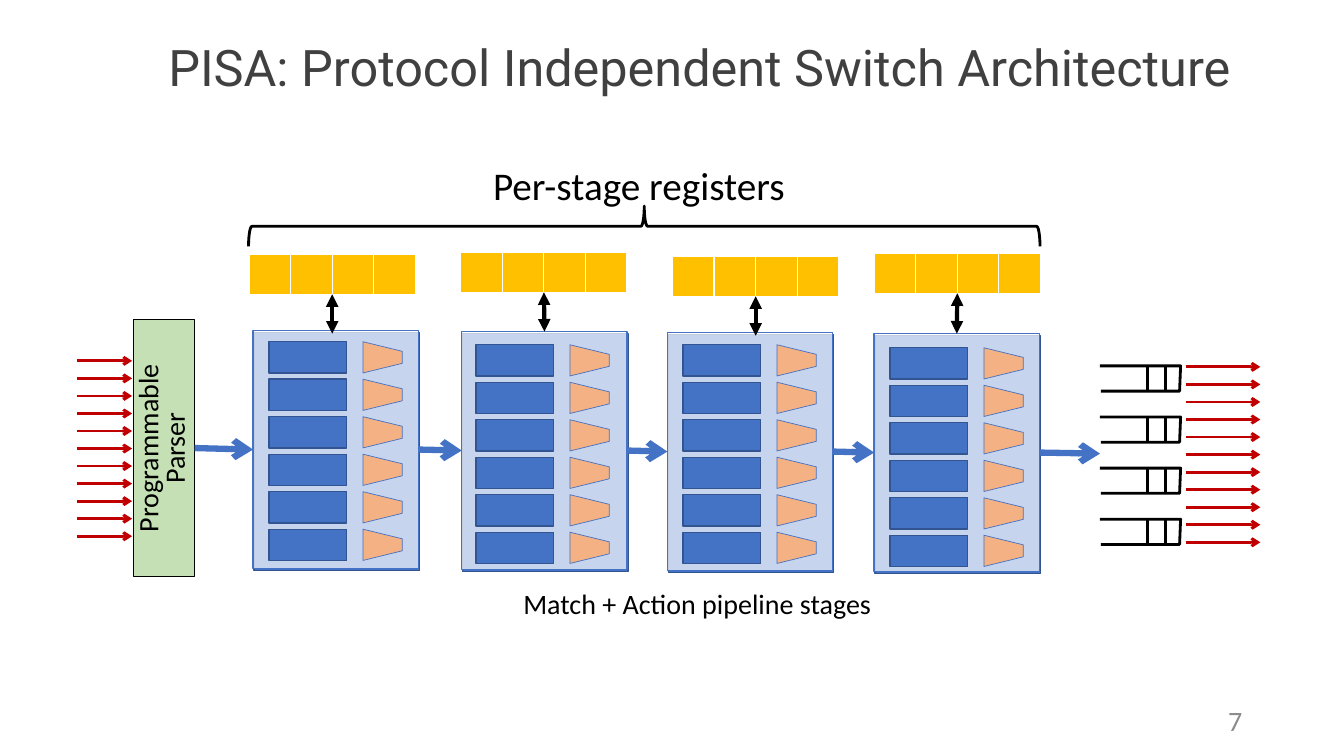
from lxml import etree
from pptx import Presentation
from pptx import util as u
from pptx.dml.color import RGBColor
from pptx.enum import shapes, text
from pptx.oxml import ns

BLUE, NAVY, ORANGE, RED, BLACK, WHITE = "4472C4", "325491", "F4B183", "C00000", "000000", "FFFFFF"
SHAPE, ALIGN = shapes.MSO_SHAPE, text.PP_ALIGN


def rgb(value):
    return RGBColor.from_string(value)


def sub(parent, tag, **attrs):
    return etree.SubElement(parent, ns.qn(tag), **attrs)


class Deck:
    """Hold the slide and its style, and draw each kind of element on it."""

    def __init__(self, width, height):
        self.prs = Presentation()
        self.prs.slide_width, self.prs.slide_height = u.Inches(width), u.Inches(height)
        self.s = self.prs.slides.add_slide(self.prs.slide_layouts[5])
        self.font = "Calibri"

    def set_text(self, sp, words, size, color=BLACK, align=ALIGN.LEFT, font=None,
                 spacing=None, anchor=text.MSO_ANCHOR.TOP, insets=(0.12, 0.06)):
        tf = sp.text_frame
        tf.text = words
        tf.word_wrap = True
        tf.vertical_anchor = anchor
        tf.margin_left = tf.margin_right = u.Inches(insets[0])
        tf.margin_top = tf.margin_bottom = u.Inches(insets[1])
        for p in tf.paragraphs:
            p.alignment = align
            p.line_spacing = spacing
            for r in p.runs:
                r.font.name, r.font.size = font or self.font, u.Pt(size)
                r.font.color.rgb = rgb(color)

    def title(self, words, box, **style):
        sp = self.s.shapes.title
        sp.left, sp.top, sp.width, sp.height = map(u.Inches, box)
        self.set_text(sp, words, **style)

    def label(self, words, box, size, **style):
        self.set_text(self.s.shapes.add_textbox(*map(u.Inches, box)), words, size, **style)

    def outline(self, sp, fill, line, width):
        sp.shadow.inherit = False
        if fill:
            sp.fill.solid()
            sp.fill.fore_color.rgb = rgb(fill)
        else:
            sp.fill.background()
        sp.line.color.rgb = rgb(line)
        sp.line.width = u.Pt(width)
        return sp

    def shape(self, kind, box, fill, line, width=1, rotation=0, alpha=None):
        sp = self.s.shapes.add_shape(kind, *map(u.Inches, box))
        sp.rotation = rotation
        self.outline(sp, fill, line, width)
        if alpha:
            color = sp._element.spPr.find(ns.qn("a:solidFill"))[0]
            sub(color, "a:alpha", val=str(alpha * 1000))
        return sp

    def freeform(self, points, line, width):
        points = [(u.Inches(x), u.Inches(y)) for x, y in points]
        builder = self.s.shapes.build_freeform(*points[0])
        builder.add_line_segments(points[1:], close=False)
        return self.outline(builder.convert_to_shape(), None, line, width)

    def line(self, start, end, color, width, head=None, tail=None, begin=None, finish=None):
        points = map(u.Inches, (*start, *end))
        sp = self.s.shapes.add_connector(shapes.MSO_CONNECTOR.STRAIGHT, *points)
        if begin:
            sp.begin_connect(*begin)
        if finish:
            sp.end_connect(*finish)
        sp.line.color.rgb = rgb(color)
        sp.line.width = u.Pt(width)
        ln = sp._element.spPr.find(ns.qn("a:ln"))
        for tag, kind in (("a:headEnd", head), ("a:tailEnd", tail)):
            if kind:
                sub(ln, tag, type=kind)
        sub(sp._element.spPr, "a:effectLst")

    def cells(self, left, top, count, side, fill):
        frame = self.s.shapes.add_table(1, count, *map(u.Inches, (left, top, count * side, side)))
        for cell in frame.table.iter_cells():
            cell.margin_top = cell.margin_bottom = 0
            tc_pr = cell._tc.get_or_add_tcPr()
            for edge, width in (("L", 1), ("R", 1), ("T", 1), ("B", 3)):
                ln = sub(tc_pr, f"a:ln{edge}", w=str(u.Pt(width)))
                sub(sub(ln, "a:solidFill"), "a:srgbClr", val=WHITE)
            cell.fill.solid()
            cell.fill.fore_color.rgb = rgb(fill)

    def stage(self, left, top, match_left, match_top):
        w, h = 1.64, 2.36
        self.shape(SHAPE.RECTANGLE, (left + 0.01, top + 0.02, w, h), BLUE, NAVY)
        front = self.shape(SHAPE.RECTANGLE, (left, top, w, h), WHITE, BLUE, alpha=70)
        for row in range(6):
            y = match_top + 0.372 * row
            self.shape(SHAPE.RECTANGLE, (match_left, y, 0.77, 0.31), BLUE, NAVY)
            action = self.shape(SHAPE.TRAPEZOID, (match_left + 0.97, y - 0.04, 0.31, 0.39),
                                ORANGE, BLUE, 0.5, rotation=90)
            action.adjustments[0] = 0.308
        return front

    def register(self, left, top, stage):
        side, count = 0.4125, 4
        self.cells(left, top, count, side, "FFC000")
        x = left + count * side / 2
        aligned = abs(x - (stage.left + stage.width / 2) / u.Inches(1)) < 0.02
        self.line((x, top + 0.4), (x, top + 0.79), BLACK, 3, "triangle", "triangle",
                  finish=(stage, 0) if aligned else None)

    def queue(self, top):
        left, right, bottom = 10.91, 11.71, top + 0.25
        self.freeform([(left, top), (right, top), (right - 0.01, bottom), (left + 0.01, bottom)],
                      BLACK, 2)
        for x in (11.38, 11.56):
            self.line((x, top), (x, bottom), BLACK, 2)

    def ports(self, left, right, top):
        for i in range(11):
            y = top + 0.174 * i
            self.line((left, y), (right, y), RED, 2, tail="arrow")


def main():
    d = Deck(13.33, 7.5)
    middle = text.MSO_ANCHOR.MIDDLE
    d.title("PISA: Protocol Independent Switch Architecture", (0.92, -0.03, 12.04, 1.45),
            size=36, color="404040", align=ALIGN.CENTER, font="Roboto", spacing=0.9,
            anchor=middle, insets=(0.1, 0.05))
    d.label("7", (9.42, 6.95, 3, 0.4), 20, color="8C8C8C", align=ALIGN.RIGHT,
            anchor=middle, insets=(0.1, 0.05))

    parser = d.shape(SHAPE.RECTANGLE, (1.32, 3.17, 0.61, 2.55), "C5E0B4", BLACK, 0.5)
    d.set_text(parser, "Programmable\nParser", 20, align=ALIGN.CENTER, spacing=u.Pt(19),
               anchor=middle, insets=(0.09, 0.17))
    parser.text_frame._txBody.bodyPr.set("vert", "vert270")
    d.ports(0.76, 1.31, 3.58)

    stage_lefts = (2.51, 4.58, 6.62, 8.67)
    match_tops = (3.39, 3.42, 3.42, 3.45)
    registers = ((2.47, 2.52), (4.57, 2.5), (6.67, 2.54), (8.67, 2.51))
    previous = parser
    for i, (left, match_top, register) in enumerate(zip(stage_lefts, match_tops, registers)):
        stage = d.stage(left, 3.28 + 0.01 * i, 2.67 + 2.053 * i, match_top)
        d.register(*register, stage)
        d.line((0, 0), (1, 1), BLUE, 4.5, tail="arrow", begin=(previous, 3), finish=(stage, 1))
        previous = stage
    d.line((10.31, 4.49), (10.91, 4.5), BLUE, 4.5, tail="arrow", begin=(previous, 3))

    for i in range(4):
        d.queue(3.63 + 0.507 * i)
    d.ports(11.76, 12.5, 3.64)

    d.label("Match + Action pipeline stages", (5.07, 5.76, 3.77, 0.46), 20)
    d.shape(SHAPE.RIGHT_BRACE, (6.19, -1.68, 0.4, 7.85), None, BLACK, 2, rotation=270)
    d.label("Per-stage registers", (4.77, 1.54, 3.39, 0.59), 28)
    d.prs.save("out.pptx")


if __name__ == "__main__":
    main()
